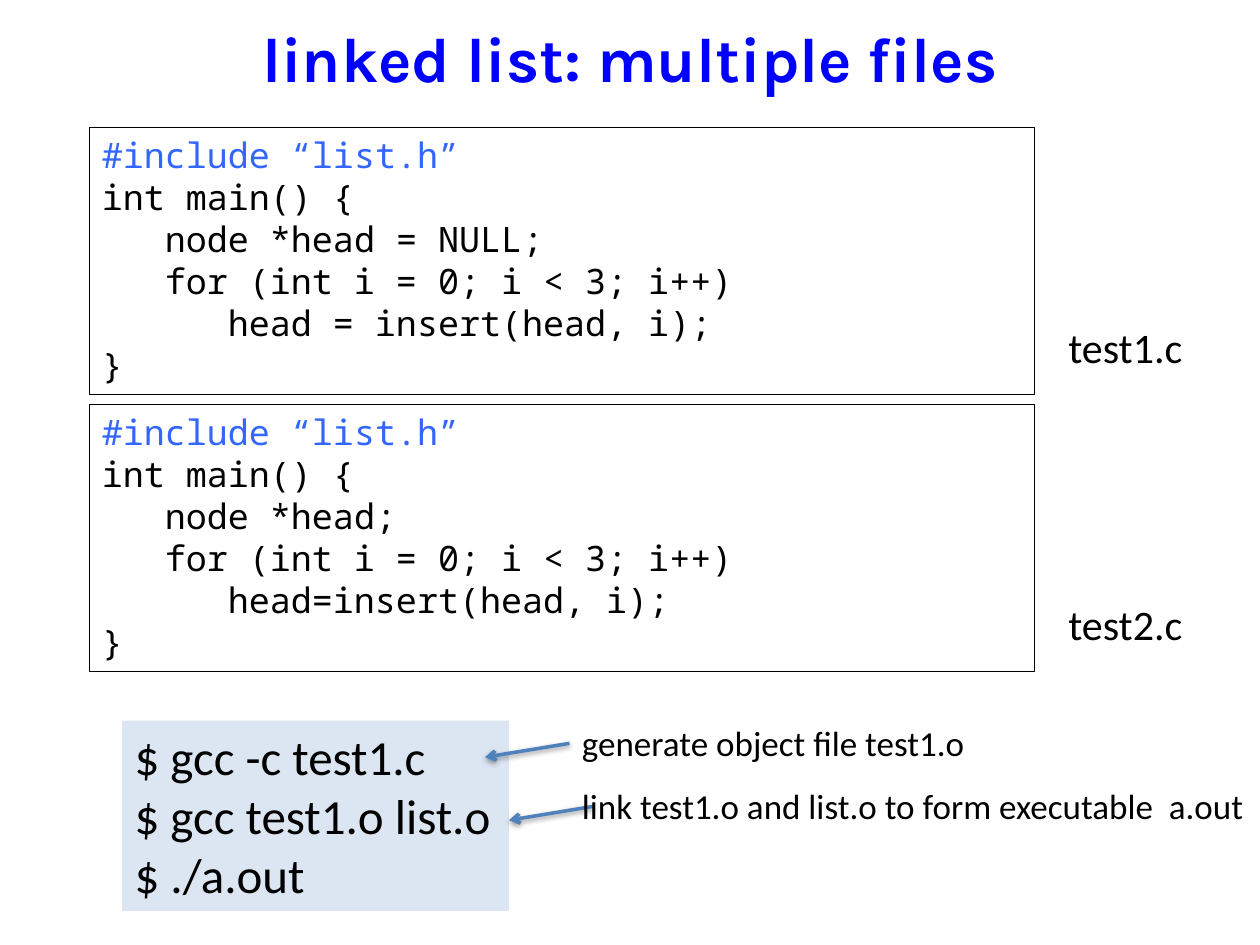
import pptx
import pptx.util
import pptx.dml.color
import pptx.enum.shapes
import pptx.enum.text
import pptx.oxml
import pptx.oxml.ns

WIDTH, HEIGHT = 10, 7.5
INCLUDE = "#include “list.h”"
LOOP = "for (int i = 0; i < 3; i++)"
PROGRAMS = [
    ("test1.c", "   node *head = NULL;", "   head = insert(head, i);"),
    ("test2.c", "   node *head;", "   head=insert(head, i);"),
]
COMMANDS = ["$ gcc -c test1.c", "$ gcc test1.o list.o", "$ ./a.out"]
NOTES = [
    ("generate object file test1.o", 3.28, 0),
    ("link test1.o and list.o to form executable  a.out", 5.53, 0.19),
]
SHADOW = (
    '<a:effectLst %s><a:outerShdw blurRad="39370" dist="20320" dir="5400000" rotWithShape="0">'
    '<a:srgbClr val="000000"><a:alpha val="38000"/></a:srgbClr></a:outerShdw></a:effectLst>'
    % pptx.oxml.ns.nsdecls("a")
)
ARROWHEAD = '<a:tailEnd type="arrow" %s/>' % pptx.oxml.ns.nsdecls("a")


def inches(*lengths):
    return [pptx.util.Inches(length) for length in lengths]


def colour(value):
    return pptx.dml.color.RGBColor.from_string(value)


def add_text(frame, lines, size, font, wrap=False):
    frame.word_wrap = wrap
    for index, (text, ink) in enumerate(lines):
        para = frame.paragraphs[0] if index == 0 else frame.add_paragraph()
        para.alignment = pptx.enum.text.PP_ALIGN.LEFT
        span = para.add_run()
        span.text = text
        span.font.size = pptx.util.Pt(size)
        span.font.name = font
        span.font.color.rgb = colour(ink)


def add_label(page, box, text, size):
    label = page.shapes.add_textbox(*inches(*box))
    add_text(label.text_frame, [(text, "000000")], size, "Calibri")


def add_panel(page, box):
    panel = page.shapes.add_shape(pptx.enum.shapes.MSO_SHAPE.RECTANGLE, *inches(*box))
    panel.shadow.inherit = False
    panel.text_frame.vertical_anchor = pptx.enum.text.MSO_ANCHOR.TOP
    return panel


def add_title(page, box, text):
    title = page.shapes.add_textbox(*inches(*box))
    frame = title.text_frame
    add_text(frame, [(text, "0000FF")], 36, "Karla", wrap=True)
    frame.vertical_anchor = pptx.enum.text.MSO_ANCHOR.MIDDLE
    para = frame.paragraphs[0]
    para.alignment = pptx.enum.text.PP_ALIGN.CENTER
    para.runs[0].font.bold = True


def add_program(page, box, name, declaration, insertion):
    left, top, width, height = box
    panel = add_panel(page, box)
    panel.fill.background()
    panel.line.color.rgb = colour("000000")
    panel.line.width = pptx.util.Pt(0.75)
    code = ["int main() {", declaration, LOOP, insertion, "}"]
    lines = [(INCLUDE, "3366FF")] + [(text, "000000") for text in code]
    add_text(panel.text_frame, lines, 20, "Noto Sans Mono", wrap=True)
    for para in panel.text_frame.paragraphs:
        para.line_spacing = pptx.util.Pt(24)
    for para in panel.text_frame.paragraphs[3:5]:
        para.level = 1
        properties = para._p.get_or_add_pPr()
        properties.set("marL", str(pptx.util.Inches(0.5)))
        properties.set("indent", "0")
    add_label(page, (left + width + 0.17, top + 1.49, 1.12, 0.5), name, 24)


def add_commands(page, box):
    panel = add_panel(page, box)
    panel.fill.solid()
    panel.fill.fore_color.rgb = colour("DCE6F2")
    panel.line.fill.background()
    add_text(panel.text_frame, [(text, "000000") for text in COMMANDS], 28, "Calibri")


def add_note(page, box, text, shift):
    left, top, width, height = box
    start = left + shift
    arrow = page.shapes.add_connector(
        pptx.enum.shapes.MSO_CONNECTOR.STRAIGHT,
        *inches(start, top + height / 2, start - 0.67, top + height / 2 + 0.11)
    )
    arrow.line.color.rgb = colour("4F81BD")
    arrow.line.width = pptx.util.Pt(2)
    properties = arrow._element.spPr
    properties.find(pptx.oxml.ns.qn("a:ln")).append(pptx.oxml.parse_xml(ARROWHEAD))
    properties.append(pptx.oxml.parse_xml(SHADOW))
    add_label(page, box, text, 20)


def main():
    deck = pptx.Presentation()
    deck.slide_width, deck.slide_height = inches(WIDTH, HEIGHT)
    page = deck.slides.add_slide(deck.slide_layouts[6])
    add_title(page, (0.05 * WIDTH, -0.17, 0.9 * WIDTH, HEIGHT / 6), "linked list: multiple files")
    for row, program in enumerate(PROGRAMS):
        add_program(page, (0.71, 1.01 + 2.2 * row, 0.75 * WIDTH, 2.12), *program)
    add_commands(page, (0.97, 5.72, 3.07, 1.51))
    for row, (text, width, shift) in enumerate(NOTES):
        add_note(page, (4.52, 5.68 + 0.5 * row, width, 0.44), text, shift)
    deck.save("out.pptx")


if __name__ == "__main__":
    main()
